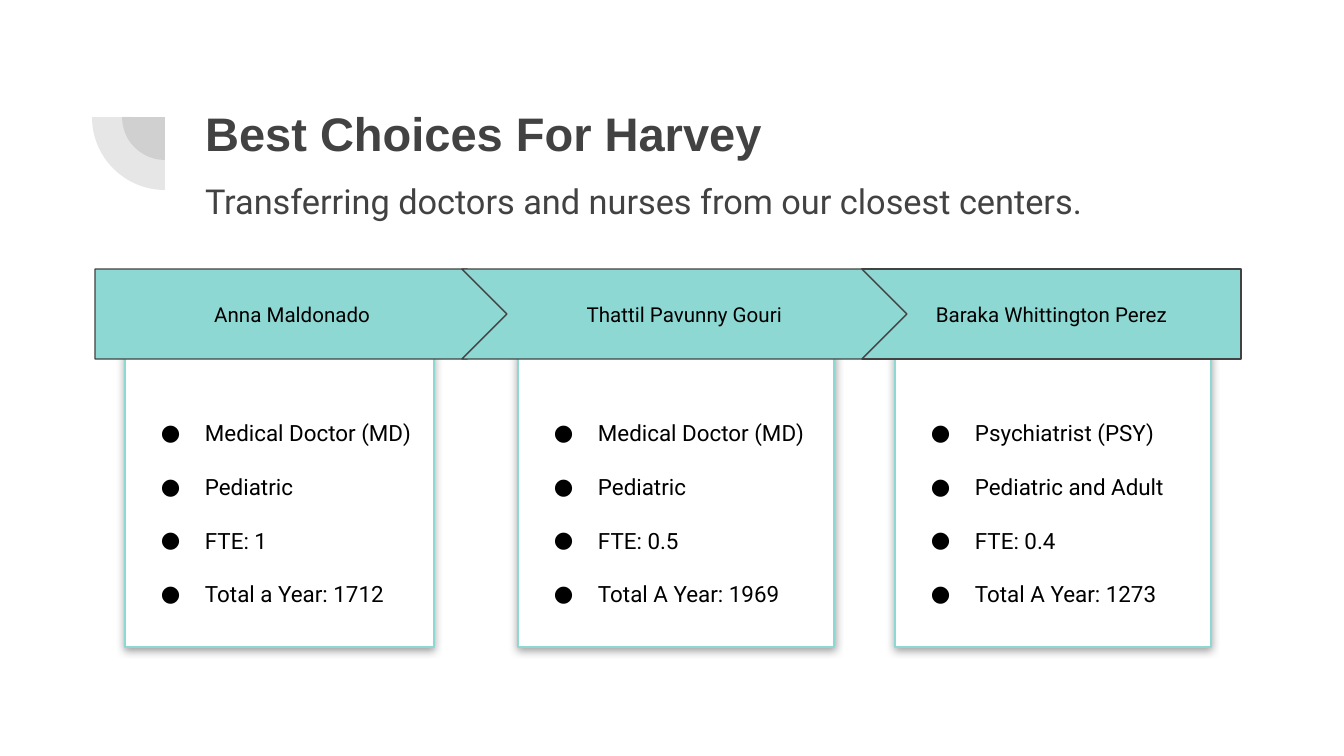
from lxml import etree
from pptx import Presentation
from pptx.dml.color import RGBColor
from pptx.enum.shapes import MSO_SHAPE
from pptx.enum.text import MSO_ANCHOR, MSO_AUTO_SIZE, PP_ALIGN
from pptx.oxml.ns import qn
from pptx.util import Emu, Pt

RECTANGLE, PIE = MSO_SHAPE.RECTANGLE, MSO_SHAPE.PIE
PENTAGON, CHEVRON = MSO_SHAPE.PENTAGON, MSO_SHAPE.CHEVRON
MIDDLE, BOTTOM = MSO_ANCHOR.MIDDLE, MSO_ANCHOR.BOTTOM
LEFT, CENTER = PP_ALIGN.LEFT, PP_ALIGN.CENTER
NO_AUTOFIT = MSO_AUTO_SIZE.NONE

EMU_PER_PX = 914400 / 134.4
DARK, TEAL, WHITE, BLACK = "424242", "8DD8D3", "FFFFFF", "000000"
INSET = 13

# Each choice: name, banner shape, banner (left, width), card (left, width), facts
CHOICES = [
    ("Anna Maldonado", PENTAGON, (95, 417), (125, 309),
     ["Medical Doctor (MD)", "Pediatric", "FTE: 1", "Total a Year: 1712"]),
    ("Baraka Whittington Perez", RECTANGLE, (862, 379), (895, 316),
     ["Psychiatrist (PSY)", "Pediatric and Adult", "FTE: 0.4", "Total A Year: 1273"]),
    ("Thattil Pavunny Gouri", CHEVRON, (462, 445), (518, 316),
     ["Medical Doctor (MD)", "Pediatric", "FTE: 0.5", "Total A Year: 1969"]),
]


def px(length):
    return Emu(round(length * EMU_PER_PX))


def color(value):
    return RGBColor.from_string(value)


def add_node(parent, tag, **attributes):
    return etree.SubElement(parent, qn(tag), attributes)


def add_shape(slide, kind, box, fill, line=None):
    shape = slide.shapes.add_shape(kind, *map(px, box))
    shape.fill.solid()
    shape.fill.fore_color.rgb = color(fill)
    if line:
        shape.line.color.rgb = color(line)
        shape.line.width = Pt(0.75)
    else:
        shape.line.fill.background()
    shape.shadow.inherit = False
    return shape


def prepare_frame(shape, anchor):
    frame = shape.text_frame
    frame.word_wrap = True
    frame.auto_size = NO_AUTOFIT
    frame.vertical_anchor = anchor
    frame.margin_left = frame.margin_right = px(INSET)
    frame.margin_top = frame.margin_bottom = px(INSET)
    return frame


def add_run(paragraph, text, size, text_color, font="Roboto", bold=False):
    run = paragraph.add_run()
    run.text = text
    run.font.size = Pt(size)
    run.font.name = font
    run.font.bold = bold
    run.font.color.rgb = color(text_color)


def add_bullet(paragraph):
    properties = paragraph._p.get_or_add_pPr()
    properties.set("marL", str(px(67)))
    properties.set("indent", str(px(-44)))
    add_node(add_node(properties, "a:buClr"), "a:srgbClr", val=BLACK)
    add_node(properties, "a:buFont", typeface="Roboto")
    add_node(properties, "a:buChar", char="●")


def add_soft_shadow(shape):
    effects = shape._element.spPr.find(qn("a:effectLst"))
    shadow = add_node(effects, "a:outerShdw", blurRad=str(Pt(4.5)), dist=str(Pt(1.5)),
                      dir="5400000", algn="bl", rotWithShape="0")
    add_node(add_node(shadow, "a:srgbClr", val=DARK), "a:alpha", val="50000")


def add_quarter_rings(slide, left, top, radius):
    """Draw two translucent quarter discs that share their top right corner."""
    for size in (radius * 6 // 10, radius):
        box = (left + radius - size, top - size, 2 * size, 2 * size)
        disc = add_shape(slide, PIE, box, DARK)
        disc.adjustments[0], disc.adjustments[1] = 108, 162
        disc.rotation = 270
        fill_color = disc._element.spPr.find(qn("a:solidFill"))[0]
        add_node(fill_color, "a:alpha", val="13000")


def add_heading(slide, left, top, width, height):
    title = slide.shapes.title
    title.left, title.top, title.width, title.height = map(px, (left, top, width, height))
    frame = prepare_frame(title, BOTTOM)
    heading = frame.paragraphs[0]
    heading.space_after = Pt(7)
    add_run(heading, "Best Choices For Harvey", 25.2, DARK, "Arial", True)
    subtitle = frame.add_paragraph()
    subtitle.line_spacing = 1.15
    add_run(subtitle, "Transferring doctors and nurses from our closest centers.", 18.4, DARK)
    for paragraph in frame.paragraphs:
        paragraph.alignment = LEFT


def add_card(slide, box, facts):
    card = add_shape(slide, RECTANGLE, box, WHITE, TEAL)
    add_soft_shadow(card)
    frame = prepare_frame(card, MIDDLE)
    for index, fact in enumerate(facts):
        paragraph = frame.add_paragraph() if index else frame.paragraphs[0]
        paragraph.alignment = LEFT
        paragraph.line_spacing = 2.0
        add_bullet(paragraph)
        add_run(paragraph, fact, 12, BLACK)


def add_banner(slide, kind, box, name):
    banner = add_shape(slide, kind, box, TEAL, DARK)
    paragraph = prepare_frame(banner, MIDDLE).paragraphs[0]
    paragraph.alignment = CENTER
    add_run(paragraph, name, 11, BLACK)


def add_choices(slide, top, banner_height, card_top, card_height):
    for _, _, _, (left, width), facts in CHOICES:
        add_card(slide, (left, top + card_top, width, card_height), facts)
    for name, kind, (left, width), _, _ in CHOICES:
        add_banner(slide, kind, (left, top, width, banner_height), name)


def main():
    presentation = Presentation()
    presentation.slide_width, presentation.slide_height = px(1344), px(756)
    slide = presentation.slides.add_slide(presentation.slide_layouts[5])
    add_quarter_rings(slide, 92, 117, 73)
    add_heading(slide, 192, 87, 1033, 147)
    add_choices(slide, 269, 90, 84, 294)
    presentation.save("out.pptx")


if __name__ == "__main__":
    main()
